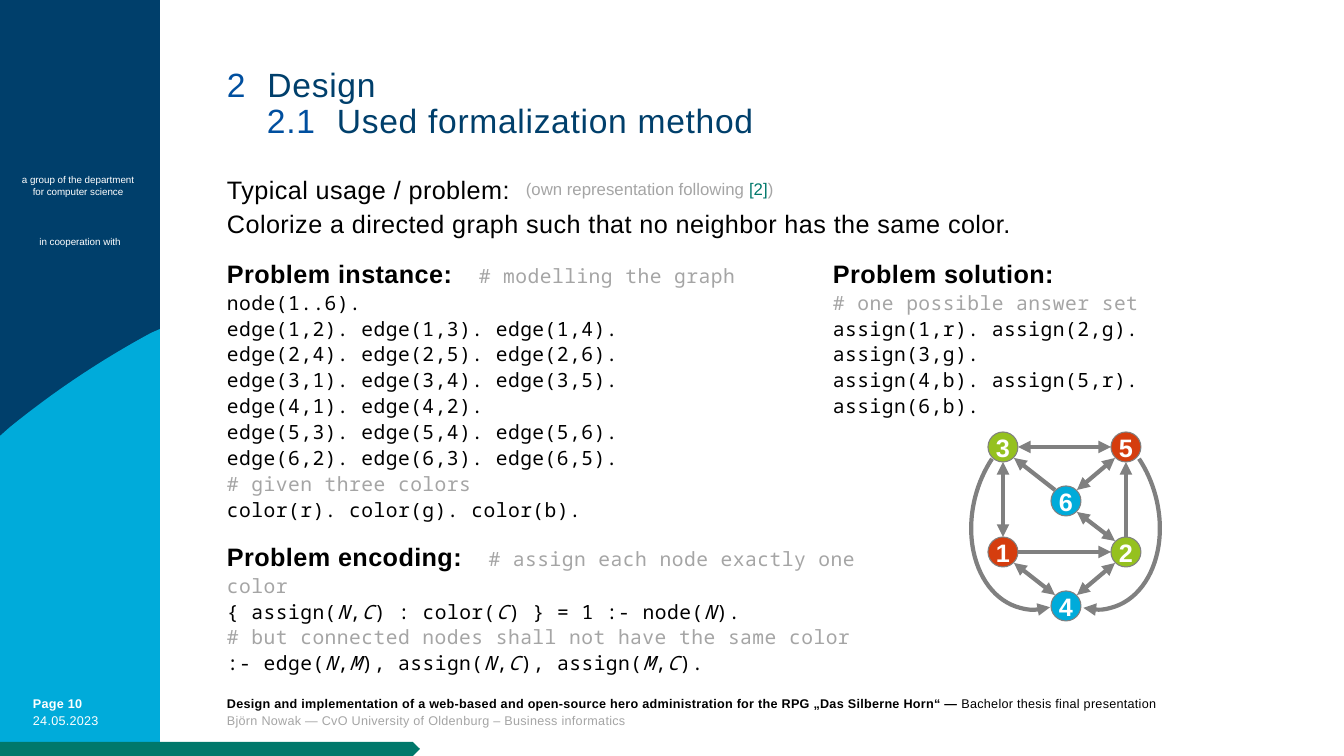
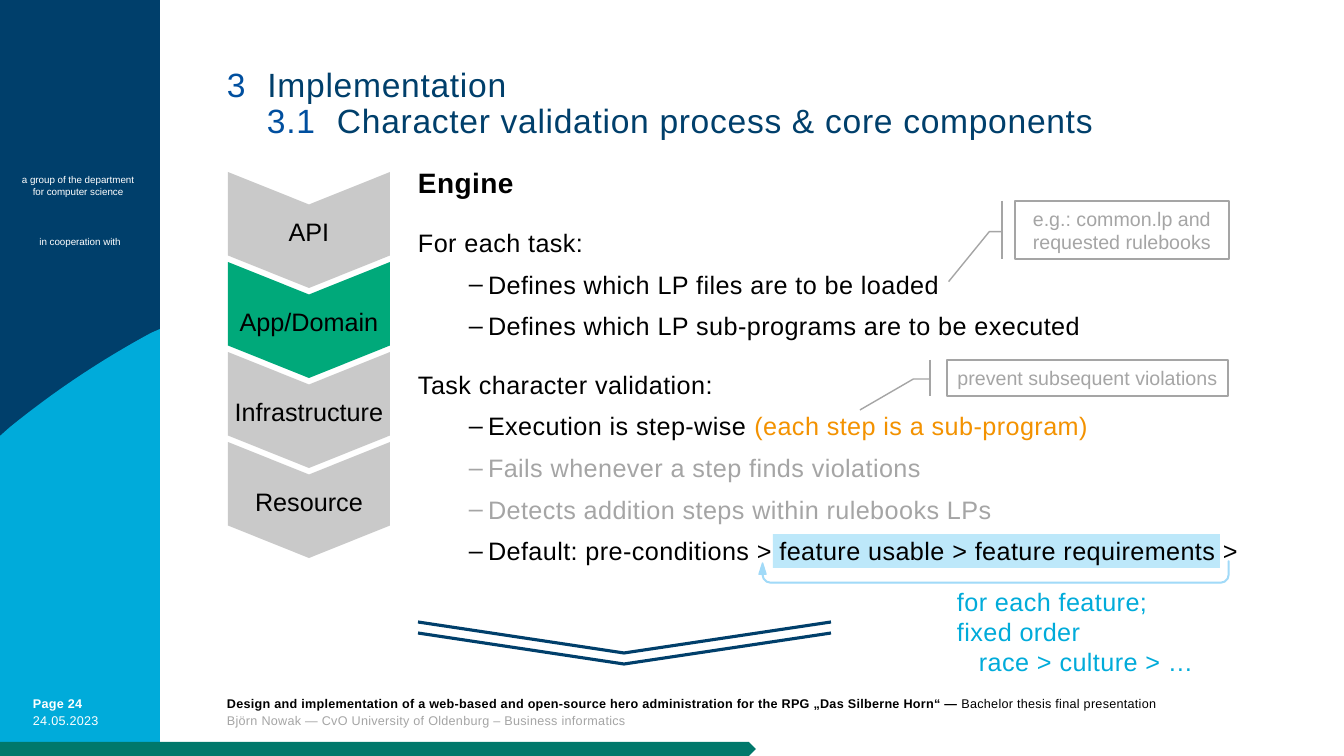
from itertools import groupby

from lxml import etree
from pptx import Presentation
from pptx.dml.color import RGBColor
from pptx.enum.shapes import MSO_CONNECTOR, MSO_SHAPE
from pptx.enum.text import MSO_ANCHOR, PP_ALIGN
from pptx.oxml.ns import qn
from pptx.util import Pt

PX = 914400 / 100.8
SANS, MONO = "Arial", "Noto Sans Mono"
COLORS = {
    "navy": "003F6B", "cyan": "00ABDA", "blue": "004F9F", "teal": "00786B", "green": "00A97A",
    "lime": "95C11F", "red": "D53D0E", "orange": "F39200", "sky": "A1DAF8", "pale": "BDE8FA",
    "gray": "A5A5A5", "silver": "C9C9C9", "edge": "808080", "white": "FFFFFF", "black": "000000",
}
# Text styles: font, size, colour, bold, letter spacing in 1/100 pt
STYLES = {
    "number": (SANS, 24, "blue", False, 50), "title": (SANS, 24, "navy", False, 50),
    "number gap": (SANS, 24, "navy", False, 840), "comment gap": (SANS, 18, "gray", False, 1350),
    "engine": (SANS, 20, "black", True, 30), "heading": (SANS, 18, "black", True, 30),
    "body": (SANS, 18, "black", False, 30), "muted": (SANS, 18, "gray", False, 30),
    "accent": (SANS, 18, "orange", False, 30), "order": (SANS, 18, "cyan", False, 30),
    "layer": (SANS, 18, "black", False, 0), "node": (SANS, 18, "white", True, 0),
    "code": (MONO, 14, "black", False, 30), "comment": (MONO, 14, "gray", False, 30),
    "callout": (SANS, 14, "gray", False, 0), "source": (SANS, 12, "gray", False, 0),
    "reference": (SANS, 12, "teal", False, 0), "side": (SANS, 7, "white", False, 0),
    "page": (SANS, 9, "white", True, 20), "date": (SANS, 9, "white", False, 20),
    "thesis": (SANS, 9, "black", True, 20), "occasion": (SANS, 9, "black", False, 20),
    "author": (SANS, 9, "gray", False, 20),
}
VARIABLES = "NMC"
BODY_SPACING = 1.1

# Shared content
SIDE_NOTES = [
    ((-2, 169, 160, 34), ["a group of the department", "for computer science"]),
    ((0, 231, 160, 22), ["in cooperation with"]),
]
DATE = "24.05.2023"
FOOTER = [
    [("Design and implementation of a web-based and open-source hero administration "
      "for the RPG „Das Silberne Horn“ — ", "thesis"),
     ("Bachelor thesis final presentation", "occasion")],
    [("Björn Nowak — CvO University of Oldenburg – Business informatics", "author")],
]
WAVE_EDGE = [(160, 329), (160, 756), (0, 756), (0, 436)]
WAVE_CURVE = [(9, 428), (53, 392), (101, 360), (151, 333)]

# Design slide content
USAGE = ["Typical usage / problem:",
         "Colorize a directed graph such that no neighbor has the same color."]
USAGE_SOURCE = [("(own representation following ", "source"), ("[2]", "reference"), (")", "source")]
LISTINGS = [  # box, heading, comment beside it, lines
    ((227, 255, 560, 275), "Problem instance:", "# modelling the graph", [
        "node(1..6).",
        "edge(1,2). edge(1,3). edge(1,4).",
        "edge(2,4). edge(2,5). edge(2,6).",
        "edge(3,1). edge(3,4). edge(3,5).",
        "edge(4,1). edge(4,2).",
        "edge(5,3). edge(5,4). edge(5,6).",
        "edge(6,2). edge(6,3). edge(6,5).",
        "# given three colors",
        "color(r). color(g). color(b)."]),
    ((227, 538, 668, 140), "Problem encoding:", "# assign each node exactly one color", [
        "{ assign(N,C) : color(C) } = 1 :- node(N).",
        "# but connected nodes shall not have the same color",
        ":- edge(N,M), assign(N,C), assign(M,C)."]),
    ((833, 255, 452, 160), "Problem solution:", "", [
        "# one possible answer set",
        "assign(1,r). assign(2,g). assign(3,g).",
        "assign(4,b). assign(5,r). assign(6,b)."]),
]
NODE_RADIUS, NODE_DIAGONAL = 15, 11
NODES = {  # number: centre and colour
    3: (1003, 447, "lime"), 5: (1126, 447, "red"), 6: (1066, 501, "cyan"),
    1: (1003, 552, "red"), 2: (1126, 552, "lime"), 4: (1066, 606, "cyan"),
}
EDGES = [(3, 5, "both"), (1, 2, "tail"), (3, 1, "both"), (2, 5, "tail"), (6, 5, "both"),
         (3, 6, "head"), (6, 2, "both"), (1, 4, "both"), (4, 2, "both")]
ARROW_ENDS = {"head": ["headEnd"], "tail": ["tailEnd"], "both": ["headEnd", "tailEnd"]}
ARCS = [  # box, rotation, mirrored, adjustments of start and end
    ((990, 443, 193, 143), 75.4, False, (142.73, 9.89)),
    ((948, 443, 193, 143), 284.6, True, (142.73, 10.83)),
]

# Implementation slide content
LAYERS = [("API", "silver"), ("App/Domain", "green"),
          ("Infrastructure", "silver"), ("Resource", "silver")]
LAYER_STEP = 90
ENGINE = [  # runs, bulleted, space after
    ([("Engine", "engine")], False, 18),
    ([("For each task:", "body")], False, 6),
    ([("Defines which LP files are to be loaded", "body")], True, 6),
    ([("Defines which LP sub-programs are to be executed", "body")], True, 18),
    ([("Task character validation:", "body")], False, 6),
    ([("Execution is step-wise ", "body"), ("(each step is a sub-program)", "accent")], True, 6),
    ([("Fails whenever a step finds violations", "muted")], True, 6),
    ([("Detects addition steps within rulebooks LPs", "muted")], True, 6),
    ([("Default: pre-conditions > feature usable > feature requirements >", "body")], True, 0),
]
FEATURE_ORDER = [("for each feature;", 0), ("fixed order", 0), ("race > culture > …", 22)]
LOOP_SHAPE = (0.03, 0.16, 0.51, 0.38, 0.91)
CALLOUTS = [
    ((1015, 201, 214, 58), ["e.g.: common.lp and", "requested rulebooks"]),
    ((947, 360, 281, 36), ["prevent subsequent violations"]),
]
CALLOUT_SHAPE = (0.53, -0.06, 0.53, -0.12, 1.39, -0.31)
DOWN_MARK, DOWN_MARK_GAP = [(418, 622), (624, 653), (831, 622)], 11


def px(*lengths):
    return [round(length * PX) for length in lengths]


def rgb(name):
    return RGBColor.from_string(COLORS[name])


def set_all(target, values):
    for name, value in values.items():
        setattr(target, name, value)


def paint(shape, fill=None, line=None, width=1.0):
    shape.shadow.inherit = False
    if fill:
        shape.fill.solid()
        shape.fill.fore_color.rgb = rgb(fill)
    else:
        shape.fill.background()
    if line:
        shape.line.color.rgb = rgb(line)
        shape.line.width = Pt(width)
    else:
        shape.line.fill.background()
    return shape


def add_preset(slide, kind, box, fill=None, line=None, width=1.0, adjust=(), rotation=0):
    shape = paint(slide.shapes.add_shape(kind, *px(*box)), fill, line, width)
    for index, value in enumerate(adjust):
        shape.adjustments[index] = value
    shape.rotation = rotation
    return shape


def add_outline(slide, points, close, **look):
    first, *rest = [px(*point) for point in points]
    builder = slide.shapes.build_freeform(*first)
    builder.add_line_segments(rest, close=close)
    return paint(builder.convert_to_shape(), **look)


def add_arrowheads(line, ends):
    for end in ends:
        etree.SubElement(line._get_or_add_ln(), qn("a:" + end), type="triangle")


def para(runs, left=0, hang=0, bullet="", **values):
    return runs, left, hang, bullet, values


def write(frame, paragraphs, inset=None, **shared):
    frame.word_wrap = True
    if inset is not None:
        sides = ("margin_left", "margin_top", "margin_right", "margin_bottom")
        set_all(frame, dict.fromkeys(sides, px(inset)[0]))
    for index, (runs, left, hang, bullet, values) in enumerate(paragraphs):
        paragraph = frame.add_paragraph() if index else frame.paragraphs[0]
        props = paragraph._p.get_or_add_pPr()
        for name, length in (("marL", left), ("indent", -hang)):
            props.set(name, str(px(length)[0]))
        if bullet:
            etree.SubElement(props, qn("a:buFont"), typeface=SANS)
            etree.SubElement(props, qn("a:buChar"), char=bullet)
        set_all(paragraph, {**shared, **values})
        for text, style in runs:
            name, size, color, bold, spacing = STYLES[style]
            for is_variable, part in groupby(
                    text, lambda c: style == "code" and c in VARIABLES):
                run = paragraph.add_run()
                run.text = "".join(part)
                set_all(run.font, {"name": name, "size": Pt(size), "bold": bold,
                                   "italic": is_variable})
                run.font.color.rgb = rgb(color)
                run._r.get_or_add_rPr().set("spc", str(spacing))


def add_text(slide, box, paragraphs, inset=0, **shared):
    write(slide.shapes.add_textbox(*px(*box)).text_frame, paragraphs, inset, **shared)


def wave_points(steps=16):
    curve = []
    for step in range(steps + 1):
        t = step / steps
        weights = ((1 - t) ** 3, 3 * t * (1 - t) ** 2, 3 * t * t * (1 - t), t ** 3)
        curve.append(tuple(sum(w * p[axis] for w, p in zip(weights, WAVE_CURVE))
                           for axis in (0, 1)))
    return WAVE_EDGE + curve


def add_page(deck, page, progress, chapter, section):
    slide = deck.slides.add_slide(deck.slide_layouts[6])
    # Side band and progress bar
    add_preset(slide, MSO_SHAPE.RECTANGLE, (0, 0, 160, 756), "navy")
    add_outline(slide, wave_points(), True, fill="cyan")
    add_preset(slide, MSO_SHAPE.PENTAGON, (0, 742, progress, 14), "teal")
    for box, lines in SIDE_NOTES:
        add_text(slide, box, [para([(line, "side")]) for line in lines],
                 inset=None, alignment=PP_ALIGN.CENTER)
    # Footer
    add_text(slide, (33, 694, 115, 40), [para([(f"Page {page}", "page")]),
                                         para([(DATE, "date")])], line_spacing=Pt(12))
    add_text(slide, (227, 694, 1000, 40), [para(runs) for runs in FOOTER], line_spacing=Pt(12))
    # Title
    add_text(slide, (227, 68, 949, 84), [
        para([(number, "number"), (" ", "number gap"), (name, "title")], left=left)
        for (number, name), left in ((chapter, 0), (section, 40))], line_spacing=0.9)
    return slide


def add_graph(slide):
    for number, (x, y, color) in NODES.items():
        box = (x - NODE_RADIUS, y - NODE_RADIUS, 2 * NODE_RADIUS, 2 * NODE_RADIUS)
        node = add_preset(slide, MSO_SHAPE.FLOWCHART_CONNECTOR, box, color, "edge", 0.75)
        node.text_frame.vertical_anchor = MSO_ANCHOR.MIDDLE
        write(node.text_frame, [para([(str(number), "node")])], 0, alignment=PP_ALIGN.CENTER)
    for start, end, arrows in EDGES:
        (x1, y1, _), (x2, y2, _) = NODES[start], NODES[end]
        dx, dy = (x2 > x1) - (x2 < x1), (y2 > y1) - (y2 < y1)
        reach = NODE_DIAGONAL if dx and dy else NODE_RADIUS
        edge = slide.shapes.add_connector(MSO_CONNECTOR.STRAIGHT, *px(
            x1 + dx * reach, y1 + dy * reach, x2 - dx * reach, y2 - dy * reach))
        edge.line.color.rgb = rgb("edge")
        edge.line.width = Pt(3)
        add_arrowheads(edge.line, ARROW_ENDS[arrows])
        etree.SubElement(edge._element.spPr, qn("a:effectLst"))
    for box, rotation, mirrored, bounds in ARCS:
        arc = add_preset(slide, MSO_SHAPE.ARC, box, None, "edge", 3, bounds, rotation)
        if mirrored:
            arc._element.spPr.find(qn("a:xfrm")).set("flipH", "1")
        add_arrowheads(arc.line, ARROW_ENDS["tail"])


def design_slide(deck):
    slide = add_page(deck, 10, 420, ("2", "Design"), ("2.1", "Used formalization method"))
    add_text(slide, (227, 171, 949, 75), [para([(line, "body")]) for line in USAGE],
             line_spacing=BODY_SPACING, space_after=Pt(1))
    add_text(slide, (516, 174, 316, 30), [para(USAGE_SOURCE)], inset=None)
    for box, heading, comment, lines in LISTINGS:
        aside = [(" ", "comment gap"), (comment, "comment")] if comment else []
        add_text(slide, box, [para([(heading, "heading")] + aside)] + [
            para([(line, "comment" if line.startswith("#") else "code")]) for line in lines],
            line_spacing=BODY_SPACING)
    add_graph(slide)


def implementation_slide(deck):
    slide = add_page(deck, 24, 756, ("3", "Implementation"),
                     ("3.1", "Character validation process & core components"))
    # Loop over the features
    add_preset(slide, MSO_SHAPE.RECTANGLE, (773, 534, 447, 34), "pale")
    add_preset(slide, MSO_SHAPE.U_TURN_ARROW, (759, 561, 470, 22), "sky", "sky", 1,
               LOOP_SHAPE, 180)
    add_text(slide, (957, 586, 247, 100), [
        para([(line, "order")], left=left) for line, left in FEATURE_ORDER])
    # Engine tasks
    indents = {False: {}, True: {"left": 70, "hang": 19, "bullet": "‒"}}
    add_text(slide, (418, 162, 857, 410), [
        para(runs, space_after=Pt(after), **indents[bulleted])
        for runs, bulleted, after in ENGINE], line_spacing=BODY_SPACING)
    # Architecture layers
    for index, (layer, color) in enumerate(LAYERS):
        drop = index * LAYER_STEP
        add_preset(slide, MSO_SHAPE.CHEVRON, (251, 149 + drop, 116, 162), color,
                   adjust=[0.28], rotation=90)
        add_text(slide, (224, 211 + drop, 170, 40), [para([(layer, "layer")])],
                 inset=None, alignment=PP_ALIGN.CENTER)
    # Downward mark
    for shift in (0, DOWN_MARK_GAP):
        add_outline(slide, [(x, y + shift) for x, y in DOWN_MARK], False, line="navy", width=2.25)
    # Callouts
    for box, lines in CALLOUTS:
        callout = add_preset(slide, MSO_SHAPE.LINE_CALLOUT_2_BORDER_AND_ACCENT_BAR, box,
                             None, "gray", 1, CALLOUT_SHAPE)
        callout.text_frame.vertical_anchor = MSO_ANCHOR.MIDDLE
        write(callout.text_frame, [para([(line, "callout")]) for line in lines],
              alignment=PP_ALIGN.CENTER)


def main():
    deck = Presentation()
    deck.slide_width, deck.slide_height = px(1344, 756)
    design_slide(deck)
    implementation_slide(deck)
    deck.save("out.pptx")


if __name__ == "__main__":
    main()
